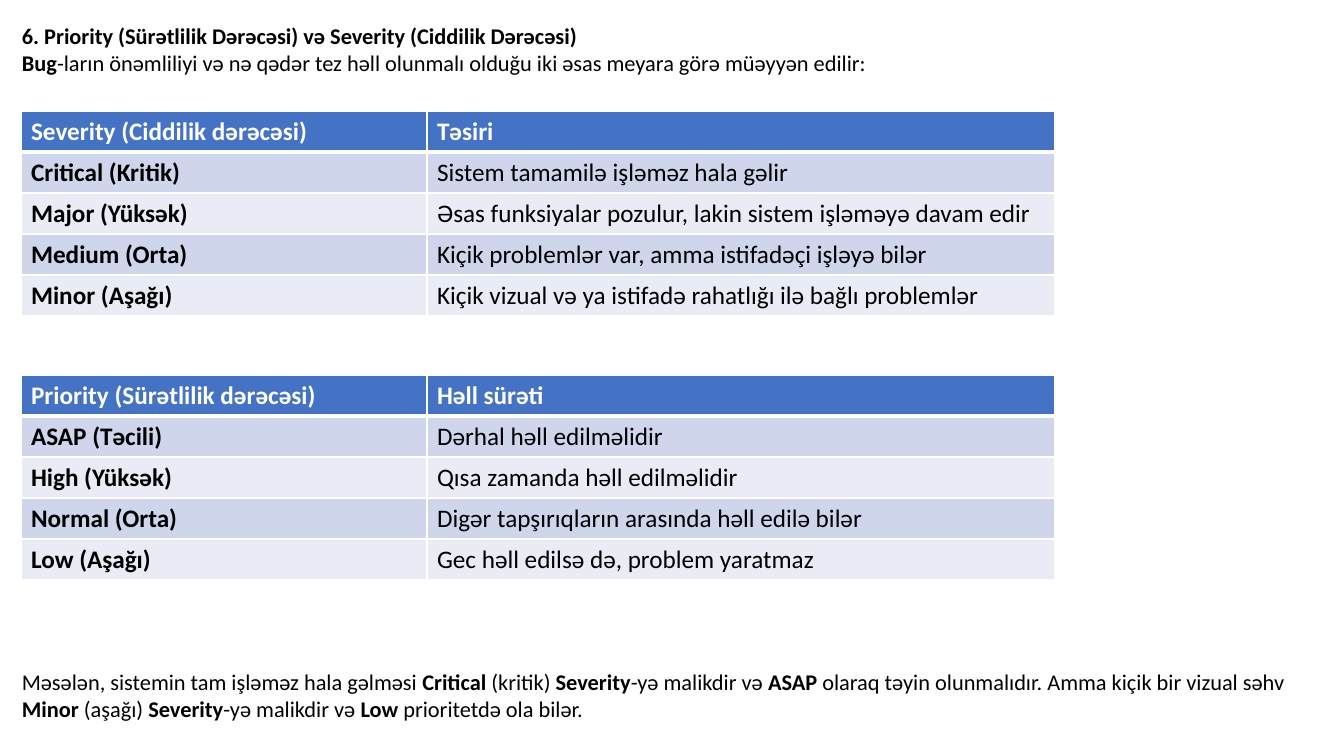
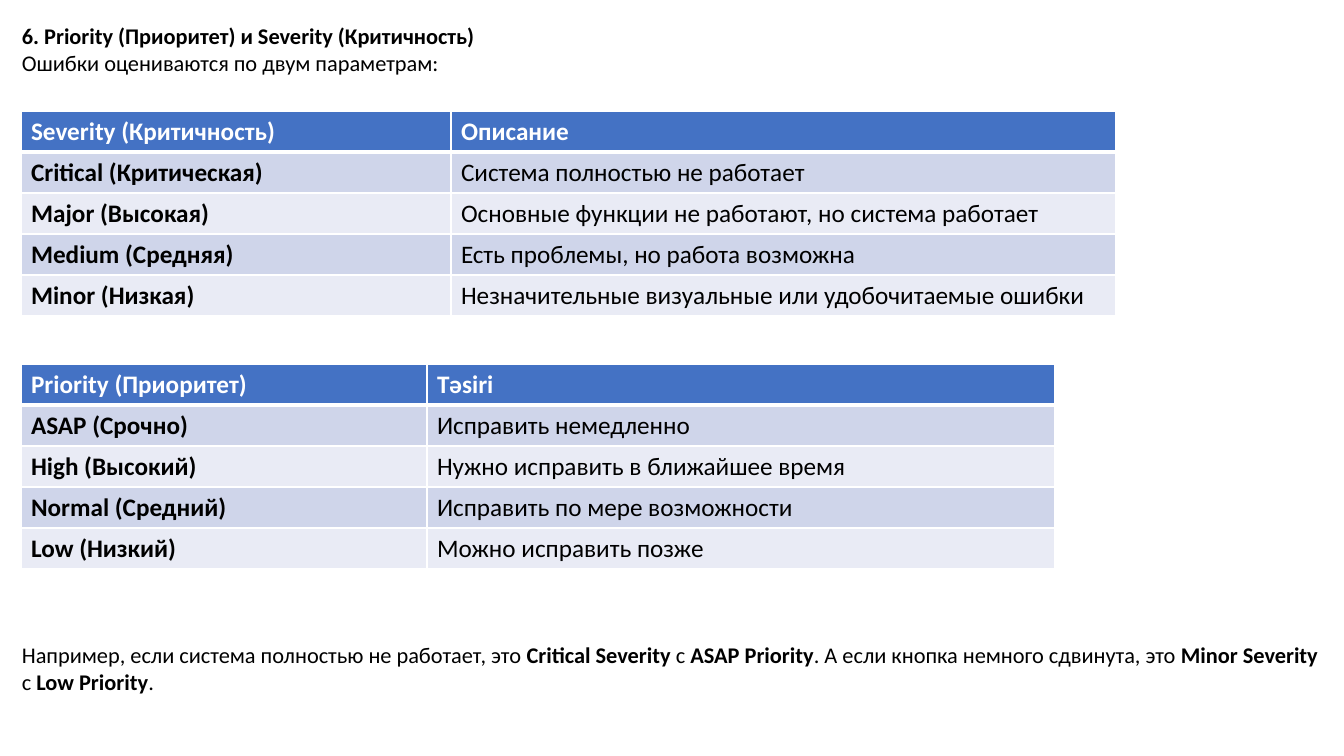
import pptx
import pptx.util
import pptx.dml.color
import pptx.enum.text
import pptx.oxml
import pptx.oxml.ns
from dataclasses import dataclass


@dataclass(frozen=True)
class Theme:
    font: str = "Calibri"
    body: int = 16
    cell: int = 18
    ink: str = "000000"
    white: str = "FFFFFF"
    head: str = "4472C4"
    bands: tuple = ("CFD5EA", "E9EBF5")
    thin: int = 1
    thick: int = 3


THEME = Theme()
WIDE, HIGH = 1344, 756
BOX_X, BOX_W, BOX_H = 12, 1321, 64
INTRO_Y = 17
GRID_X, ROW_H = 21, 41

SLIDES = [
    {
        "intro": [
            "**6. Priority (Sürətlilik Dərəcəsi) və Severity (Ciddilik Dərəcəsi)**",
            "**Bug**-ların önəmliliyi və nə qədər tez həll olunmalı olduğu iki əsas meyara görə müəyyən edilir:",
        ],
        "grids": [
            (111, (406, 628), [
                ("Severity (Ciddilik dərəcəsi)", "Təsiri"),
                ("Critical (Kritik)", "Sistem tamamilə işləməz hala gəlir"),
                ("Major (Yüksək)", "Əsas funksiyalar pozulur, lakin sistem işləməyə davam edir"),
                ("Medium (Orta)", "Kiçik problemlər var, amma istifadəçi işləyə bilər"),
                ("Minor (Aşağı)", "Kiçik vizual və ya istifadə rahatlığı ilə bağlı problemlər"),
            ]),
            (375, (406, 628), [
                ("Priority (Sürətlilik dərəcəsi)", "Həll sürəti"),
                ("ASAP (Təcili)", "Dərhal həll edilməlidir"),
                ("High (Yüksək)", "Qısa zamanda həll edilməlidir"),
                ("Normal (Orta)", "Digər tapşırıqların arasında həll edilə bilər"),
                ("Low (Aşağı)", "Gec həll edilsə də, problem yaratmaz"),
            ]),
        ],
        "case_y": 663,
        "case": [
            "Məsələn, sistemin tam işləməz hala gəlməsi **Critical** (kritik) **Severity**-yə malikdir və "
            "**ASAP** olaraq təyin olunmalıdır. Amma kiçik bir vizual səhv **Minor** (aşağı) "
            "**Severity**-yə malikdir və **Low** prioritetdə ola bilər.",
        ],
    },
    {
        "intro": [
            "**6. Priority (Приоритет) и Severity (Критичность)**",
            "Ошибки оцениваются по двум параметрам:",
        ],
        "grids": [
            (111, (430, 665), [
                ("Severity (Критичность)", "Описание"),
                ("Critical (Критическая)", "Система полностью не работает"),
                ("Major (Высокая)", "Основные функции не работают, но система работает"),
                ("Medium (Средняя)", "Есть проблемы, но работа возможна"),
                ("Minor (Низкая)", "Незначительные визуальные или удобочитаемые ошибки"),
            ]),
            (364, (406, 628), [
                ("Priority (Приоритет)", "Təsiri"),
                ("ASAP (Срочно)", "Исправить немедленно"),
                ("High (Высокий)", "Нужно исправить в ближайшее время"),
                ("Normal (Средний)", "Исправить по мере возможности"),
                ("Low (Низкий)", "Можно исправить позже"),
            ]),
        ],
        "case_y": 636,
        "case": [
            "Например, если система полностью не работает, это **Critical Severity** с **ASAP Priority**. "
            "А если кнопка немного сдвинута, это **Minor Severity** с **Low Priority**.",
        ],
    },
]


def px(num):
    return pptx.util.Emu(round(num * 914400 / 100.8))


def rgb(code):
    return pptx.dml.color.RGBColor.from_string(code)


def write(para, text, size=THEME.body, color=THEME.ink, bold=False):
    for pos, part in enumerate(text.split("**")):
        if not part:
            continue
        run = para.add_run()
        run.text = part
        run.font.name = THEME.font
        run.font.size = pptx.util.Pt(size)
        run.font.color.rgb = rgb(color)
        run.font.bold = bold or pos % 2 == 1


def add_box(slide, top, lines):
    box = slide.shapes.add_textbox(px(BOX_X), px(top), px(BOX_W), px(BOX_H))
    frame = box.text_frame
    frame.word_wrap = True
    for pos, line in enumerate(lines):
        para = frame.add_paragraph() if pos else frame.paragraphs[0]
        write(para, line)


def edge(cell, row):
    props = cell._tc.get_or_add_tcPr()
    wide = {"lnT": row == 1, "lnB": row == 0}
    for side in ("lnL", "lnR", "lnT", "lnB"):
        width = pptx.util.Pt(THEME.thick if wide.get(side) else THEME.thin)
        props.append(pptx.oxml.parse_xml(
            f'<a:{side} {pptx.oxml.ns.nsdecls("a")} w="{width}"><a:solidFill>'
            f'<a:srgbClr val="{THEME.white}"/></a:solidFill></a:{side}>'))


def add_grid(slide, top, cols, rows):
    shape = slide.shapes.add_table(
        len(rows), len(cols), px(GRID_X), px(top), px(sum(cols)), px(ROW_H * len(rows)))
    table = shape.table
    table.first_row = table.horz_banding = False
    for col, width in zip(table.columns, cols):
        col.width = px(width)
    for row, texts in enumerate(rows):
        table.rows[row].height = px(ROW_H)
        for col, text in enumerate(texts):
            cell = table.cell(row, col)
            edge(cell, row)
            cell.fill.solid()
            cell.fill.fore_color.rgb = rgb(THEME.bands[(row - 1) % 2] if row else THEME.head)
            cell.vertical_anchor = pptx.enum.text.MSO_ANCHOR.MIDDLE
            write(cell.text_frame.paragraphs[0], text, size=THEME.cell,
                  color=THEME.ink if row else THEME.white, bold=row == 0 or col == 0)


def main():
    deck = pptx.Presentation()
    deck.slide_width, deck.slide_height = px(WIDE), px(HIGH)
    for data in SLIDES:
        slide = deck.slides.add_slide(deck.slide_layouts[6])
        add_box(slide, INTRO_Y, data["intro"])
        for grid in data["grids"]:
            add_grid(slide, *grid)
        add_box(slide, data["case_y"], data["case"])
    deck.save("out.pptx")


if __name__ == "__main__":
    main()
